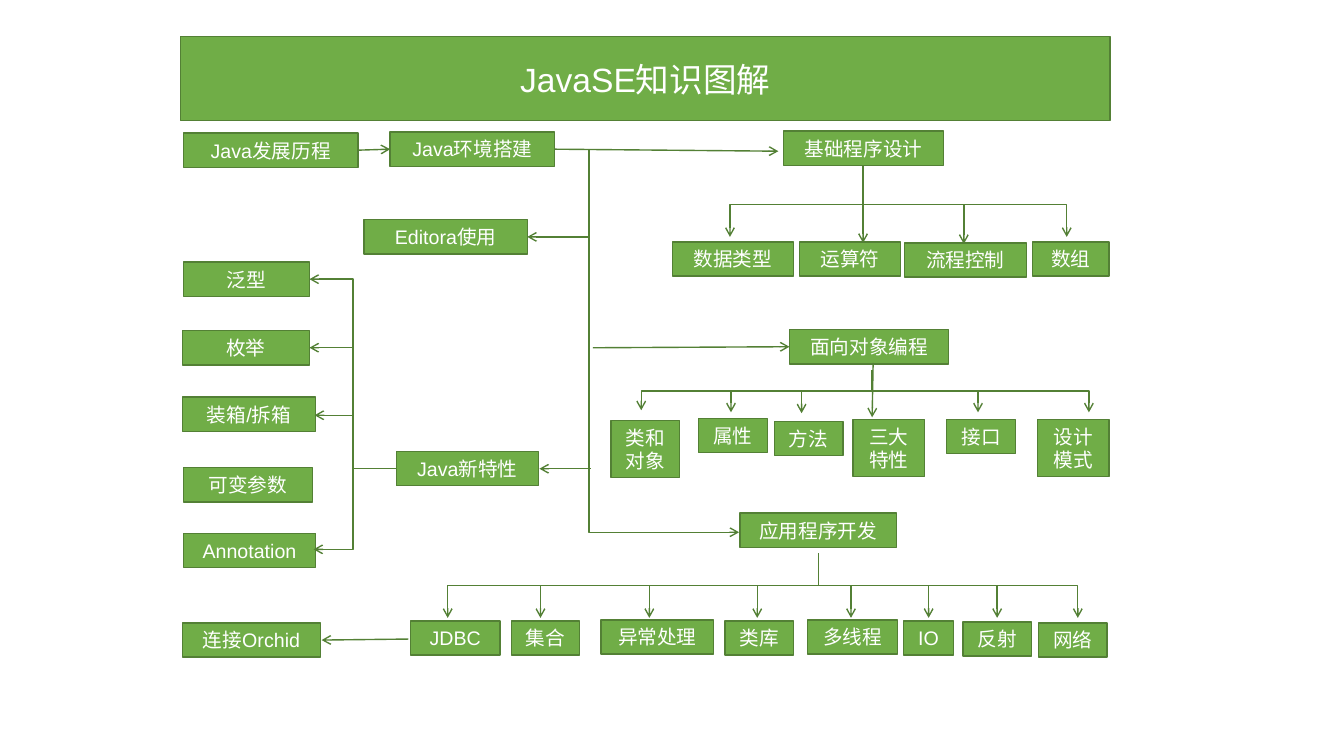
from dataclasses import dataclass

from lxml.etree import SubElement
from pptx import Presentation
from pptx.dml.color import RGBColor as RGB
from pptx.enum.shapes import MSO_CONNECTOR as CONN, MSO_SHAPE as SHAPE
from pptx.enum.text import MSO_ANCHOR as ANCHOR, MSO_AUTO_SIZE as FIT, PP_ALIGN as ALIGN
from pptx.oxml.ns import qn
from pptx.util import Inches, Pt


@dataclass(frozen=True)
class Theme:
    """Colours, fonts and sizes of the diagram."""
    fill: RGB = RGB(0x70, 0xAD, 0x47)
    line: RGB = RGB(0x53, 0x80, 0x35)
    text: RGB = RGB(0xFF, 0xFF, 0xFF)
    latin: str = "Arial"
    asian: str = "Noto Sans CJK SC"
    title_size: int = 24
    box_size: int = 14
    line_width: int = 1


class Diagram:
    """Draws styled elements on the current slide."""

    def __init__(self, prs, theme):
        self.theme = theme
        self.s = prs.slides.add_slide(prs.slide_layouts[5])

    def outline(self, line):
        line.color.rgb = self.theme.line
        line.width = Pt(self.theme.line_width)

    def style(self, sp, text, size):
        sp.fill.solid()
        sp.fill.fore_color.rgb = self.theme.fill
        self.outline(sp.line)
        tf = sp.text_frame
        tf.text = text
        tf.word_wrap = True
        tf.auto_size = FIT.SHAPE_TO_FIT_TEXT
        tf.vertical_anchor = ANCHOR.MIDDLE
        for p in tf.paragraphs:
            p.alignment = ALIGN.CENTER
            p.font.size = Pt(size)
            p.font.name = self.theme.latin
            p.font.color.rgb = self.theme.text
            props = p._p.get_or_add_pPr().get_or_add_defRPr()
            SubElement(props, qn("a:ea"), typeface=self.theme.asian)

    def title(self, text, x, y, w, h):
        sp = self.s.shapes.title
        sp.left, sp.top, sp.width, sp.height = map(Inches, (x, y, w, h))
        self.style(sp, text, self.theme.title_size)

    def box(self, text, x, y, w, h=0.34):
        sp = self.s.shapes.add_shape(SHAPE.RECTANGLE, *map(Inches, (x, y, w, h)))
        sp.shadow.inherit = False
        self.style(sp, text, self.theme.box_size)

    def arrow(self, start, end, kind=CONN.STRAIGHT):
        cxn = self.s.shapes.add_connector(kind, *map(Inches, (*start, *end)))
        self.outline(cxn.line)
        SubElement(cxn.line._get_or_add_ln(), qn("a:tailEnd"), type="arrow")
        SubElement(cxn._element.spPr, qn("a:effectLst"))
        return cxn._element.spPr

    def elbow(self, start, end, bend=None, down=False):
        """Bends at the given coordinate, or turns one corner without it."""
        (x1, y1), (x2, y2) = start, end
        if down:
            cx, cy, dx, dy = (x1 + x2) / 2, (y1 + y2) / 2, (x2 - x1) / 2, (y2 - y1) / 2
            props = self.arrow((cx - dy, cy + dx), (cx + dy, cy - dx), CONN.ELBOW)
            props.find(qn("a:xfrm")).set("rot", "5400000")
        else:
            props = self.arrow(start, end, CONN.ELBOW)
        geom = props.find(qn("a:prstGeom"))
        if bend is None:
            geom.set("prst", "bentConnector2")
        else:
            ratio = (bend - y1) / (y2 - y1) if down else (bend - x1) / (x2 - x1)
            SubElement(geom.find(qn("a:avLst")), qn("a:gd"),
                       name="adj1", fmla=f"val {round(ratio * 100000)}")

    def fan(self, start, bend, ends, down=True):
        for end in ends:
            self.elbow(start, end, bend, down)


STAGES = [
    ("Java发展历程", 1.82, 1.32, 1.73), ("Java环境搭建", 3.87, 1.31, 1.63),
    ("Editora使用", 3.61, 2.18, 1.62), ("Java新特性", 3.93, 4.48, 1.41),
    ("基础程序设计", 7.77, 1.3, 1.59), ("面向对象编程", 7.83, 3.27, 1.58),
    ("应用程序开发", 7.34, 5.09, 1.55), ("连接Orchid", 1.81, 6.18, 1.37),
]
BASICS = [
    ("数据类型", 6.67, 2.4, 1.2), ("运算符", 7.93, 2.4, 1),
    ("流程控制", 8.97, 2.41, 1.21), ("数组", 10.24, 2.4, 0.76),
]
OBJECTS = [
    ("类和对象", 6.06, 4.17, 0.68, 0.57), ("属性", 6.93, 4.15, 0.68),
    ("方法", 7.68, 4.18, 0.68), ("三大特性", 8.46, 4.16, 0.71, 0.57),
    ("接口", 9.39, 4.16, 0.68), ("设计\n模式", 10.29, 4.16, 0.71, 0.57),
]
APPLICATIONS = [
    ("JDBC", 4.07, 6.16, 0.89), ("集合", 5.07, 6.16, 0.68),
    ("异常处理", 5.96, 6.15, 1.12), ("类库", 7.19, 6.16, 0.68),
    ("多线程", 8.01, 6.15, 0.89), ("IO", 8.96, 6.16, 0.5),
    ("反射", 9.55, 6.17, 0.68), ("网络", 10.3, 6.18, 0.68),
]
FEATURES = [
    ("泛型", 1.82, 2.6, 1.25), ("枚举", 1.81, 3.28, 1.26),
    ("装箱/拆箱", 1.81, 3.94, 1.32), ("可变参数", 1.82, 4.64, 1.28),
    ("Annotation", 1.82, 5.29, 1.31),
]
STRAIGHT = [
    ((3.55, 1.49), (3.87, 1.48)), ((5.5, 1.48), (7.72, 1.5)),
    ((5.84, 2.35), (5.23, 2.35)), ((5.88, 3.45), (7.83, 3.44)),
    ((5.86, 4.65), (5.35, 4.65)), ((4.05, 6.34), (3.19, 6.35)),
    ((8.56, 1.65), (8.56, 2.41)), ((8.66, 3.6), (8.65, 4.14)),
]

prs = Presentation()
prs.slide_width, prs.slide_height = Inches(13.33), Inches(7.5)
d = Diagram(prs, Theme())
d.title("JavaSE知识图解", 1.79, 0.53, 9.22, 0.5)
for item in STAGES + BASICS + OBJECTS + APPLICATIONS + FEATURES:
    d.box(*item)
for start, end in STRAIGHT:
    d.arrow(start, end)
d.elbow((5.84, 1.49), (7.33, 5.28), down=True)
d.elbow((8.79, 2.03), (7.24, 2.35))
d.elbow((8.54, 2.03), (10.58, 2.35))
d.elbow((8.56, 1.65), (9.56, 2.42), 2.03, down=True)
d.fan((8.65, 3.67), 3.88, [(6.36, 4.07), (7.25, 4.09), (7.95, 4.1), (9.7, 4.09), (10.8, 4.09)])
d.fan((8.12, 5.49), 5.81, [(x, 6.13) for x in (4.44, 5.36, 6.44, 7.51, 8.44, 9.21, 9.89, 10.69)])
d.fan((3.93, 4.65), 3.5, [(3.07, 2.77), (3.07, 3.45), (3.12, 4.12), (3.11, 5.45)], down=False)
prs.save("out.pptx")
